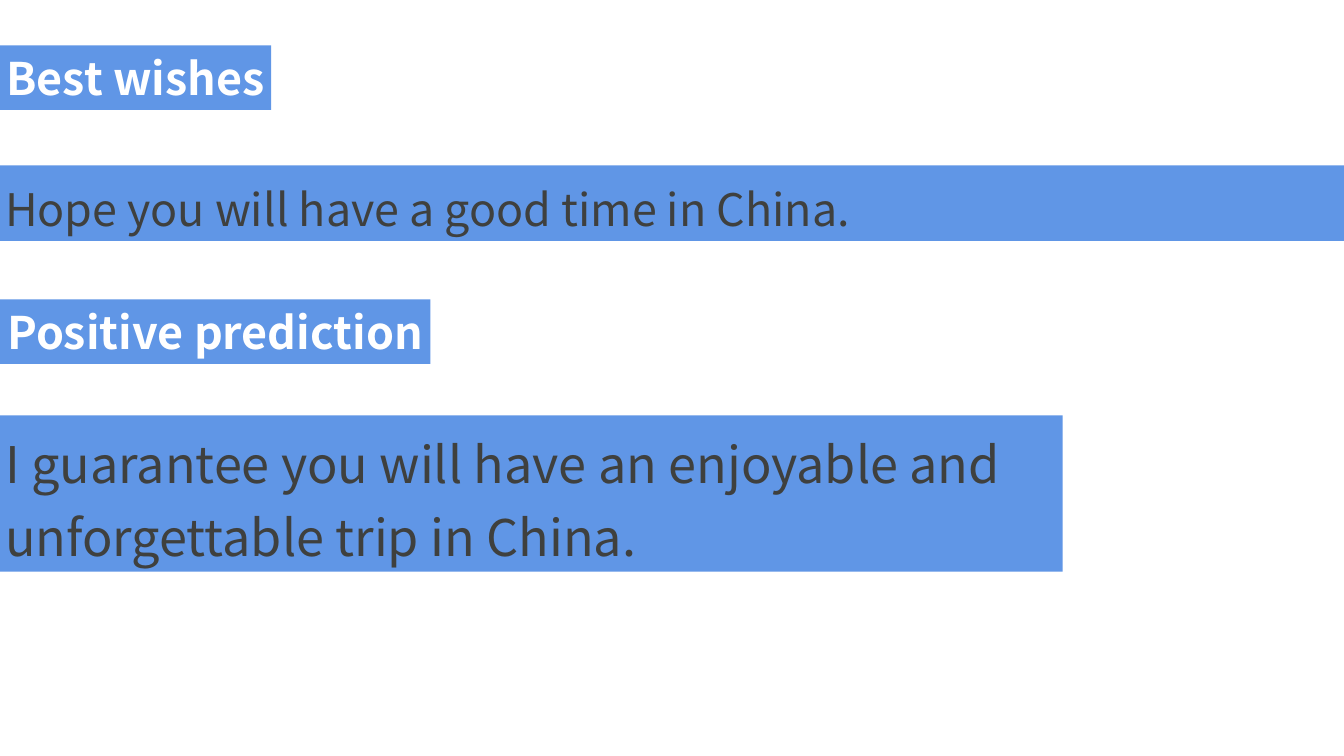
from pptx import Presentation
from pptx.dml.color import RGBColor
from pptx.enum.shapes import MSO_SHAPE as Shape
from pptx.enum.text import MSO_ANCHOR as Anchor, MSO_AUTO_SIZE as AutoSize, PP_ALIGN as Align
from pptx.util import Inches, Pt

WIDTH, HEIGHT = 13.33, 7.5


def rgb(value):
    return RGBColor.from_string(value)


class Deck:
    """Style and current slide; positions are shares of the slide's size."""
    font = "Noto Sans CJK SC"
    band, light, dark = "6096E6", "FFFFFF", "3F403E"
    inset = Inches(0.05)
    leading = 1.45  # line pitch as a multiple of the text size

    def __init__(self, prs):
        self.w, self.h = prs.slide_width, prs.slide_height
        self.s = prs.slides.add_slide(prs.slide_layouts[6])

    def bar(self, text, top, width, height, size, color):
        sp = self.s.shapes.add_shape(
            Shape.RECTANGLE, 0, int(top * self.h), int(width * self.w), int(height * self.h))
        sp.shadow.inherit = False
        sp.fill.solid()
        sp.fill.fore_color.rgb = rgb(self.band)
        sp.line.fill.background()
        tf = sp.text_frame
        tf.margin_left = tf.margin_right = tf.margin_top = tf.margin_bottom = self.inset
        tf.vertical_anchor = Anchor.MIDDLE
        tf.auto_size = AutoSize.NONE
        tf.text = text
        p = tf.paragraphs[0]
        r = p.runs[0]
        r.font.name, r.font.size = self.font, Pt(size)
        r.font.color.rgb = rgb(color)
        return tf, p, r

    def heading(self, text, top, width):
        tf, p, r = self.bar(text, top, width, 0.64 / HEIGHT, 32, self.light)
        tf.word_wrap = False
        p.alignment = Align.CENTER
        r.font.bold = True

    def sentence(self, text, top, width, height, size):
        tf, p, r = self.bar(text, top, width, height, size, self.dark)
        tf.word_wrap = True
        p.alignment = Align.LEFT
        p.line_spacing = Pt(round(size * self.leading))


def main():
    prs = Presentation()
    prs.slide_width, prs.slide_height = Inches(WIDTH), Inches(HEIGHT)
    deck = Deck(prs)

    # Best wishes
    deck.sentence("Hope you will have a good time in China.",
                  1.64 / HEIGHT, 1, 0.75 / HEIGHT, 32)
    deck.heading("Best wishes", 0.45 / HEIGHT, 2.69 / WIDTH)

    # Positive prediction
    deck.heading("Positive prediction", 2.97 / HEIGHT, 4.27 / WIDTH)
    deck.sentence("I guarantee you will have an enjoyable and unforgettable trip in China.",
                  4.12 / HEIGHT, 10.54 / WIDTH, 1.55 / HEIGHT, 36)

    prs.save("out.pptx")


if __name__ == "__main__":
    main()
